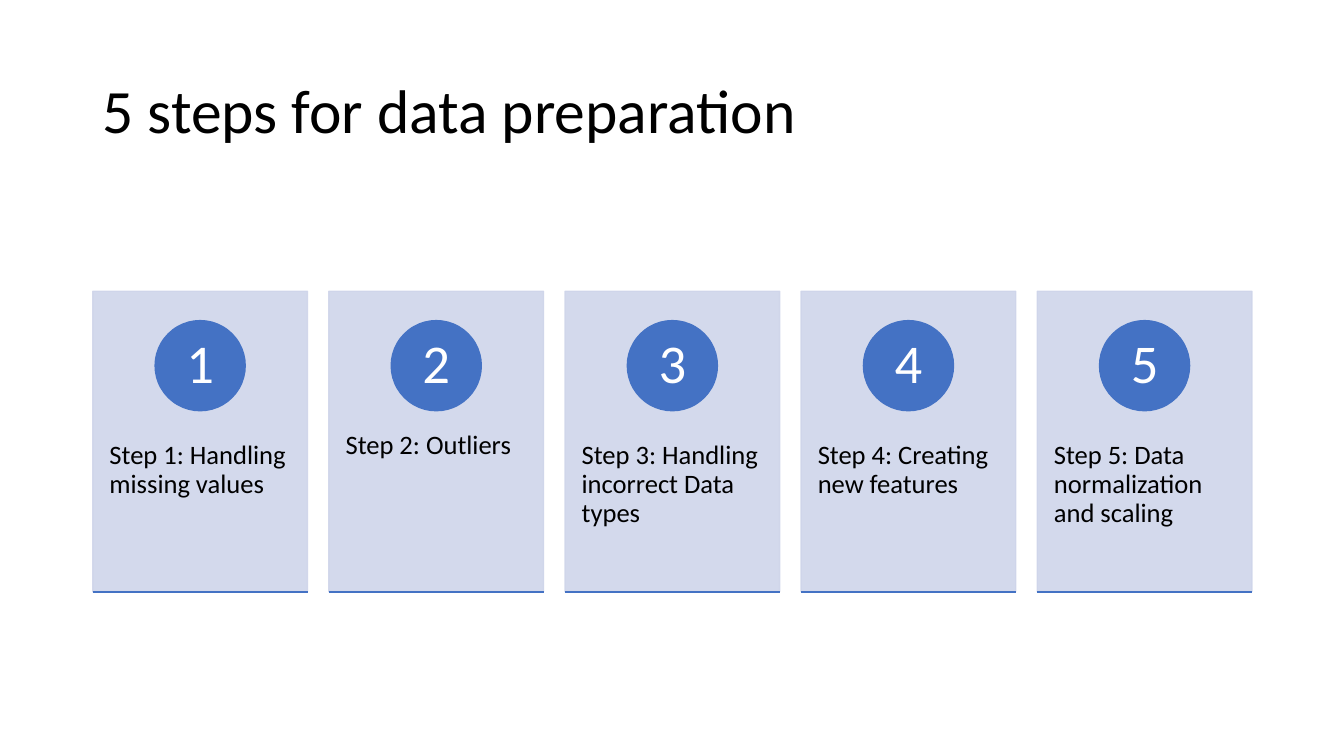
from pptx import Presentation
from pptx.dml.color import RGBColor
from pptx.enum.shapes import MSO_CONNECTOR, MSO_SHAPE
from pptx.enum.text import MSO_ANCHOR as ANCHOR, PP_ALIGN as ALIGN
from pptx.oxml.ns import qn
from pptx.util import Cm, Pt
from lxml.etree import SubElement

TITLE = "5 steps for data preparation"
STEPS = [
    "Handling missing values",
    "Outliers",
    "Handling incorrect Data types",
    "Creating new features",
    "Data normalization and scaling",
]
COLORS = {"text": "000000", "card": "CFD5EA", "accent": "4472C4", "number": "FFFFFF"}
FONT = "Calibri"

LEFT, WIDTH = 2.34, 29.21
CARD_TOP, CARD_W, CARD_H = 7.34, 5.41, 7.57
PITCH = (WIDTH - CARD_W) / (len(STEPS) - 1)
CIRCLE_TOP, CIRCLE_D = 8.08, 2.27
LABEL_TOP, LABEL_H = 10.5, 4.25


def rgb(name):
    return RGBColor.from_string(COLORS[name])


def add_text(s, box, text, size, color, anchor, align, insets):
    """Add a text box with one formatted paragraph."""
    tf = s.shapes.add_textbox(*map(Cm, box)).text_frame
    tf.word_wrap = True
    tf.vertical_anchor = anchor
    tf.margin_left = tf.margin_right = Cm(insets[0])
    tf.margin_top = tf.margin_bottom = Cm(insets[1])
    p = tf.paragraphs[0]
    p.text = text
    p.alignment = align
    p.line_spacing = 0.9
    p.font.name = FONT
    p.font.size = Pt(size)
    p.font.color.rgb = rgb(color)


def add_block(s, kind, box, color, opacity=100):
    """Add a filled shape with a matching outline."""
    sp = s.shapes.add_shape(kind, *map(Cm, box))
    sp.shadow.inherit = False
    sp.fill.solid()
    sp.fill.fore_color.rgb = rgb(color)
    sp.line.color.rgb = rgb(color)
    sp.line.width = Pt(1)
    if opacity < 100:
        for clr in sp._element.spPr.iter(qn("a:srgbClr")):
            SubElement(clr, qn("a:alpha")).set("val", str(opacity * 1000))


def add_step(s, number, label):
    """Add a card with its numbered circle, label and base line."""
    x = LEFT + (number - 1) * PITCH
    bottom = CARD_TOP + CARD_H
    circle = (x + (CARD_W - CIRCLE_D) / 2, CIRCLE_TOP, CIRCLE_D, CIRCLE_D)
    add_block(s, MSO_SHAPE.RECTANGLE, (x, CARD_TOP, CARD_W, CARD_H), "card", 90)
    add_text(s, (x, LABEL_TOP, CARD_W, LABEL_H), f"Step {number}: {label}", 19, "text",
             ANCHOR.TOP, ALIGN.LEFT, (0.42, 0.63))
    add_block(s, MSO_SHAPE.OVAL, circle, "accent")
    add_text(s, circle, str(number), 39, "number", ANCHOR.MIDDLE, ALIGN.CENTER, (0.18, 0.03))

    base = s.shapes.add_connector(
        MSO_CONNECTOR.STRAIGHT, Cm(x), Cm(bottom), Cm(x + CARD_W), Cm(bottom))
    base.line.color.rgb = rgb("accent")
    base.line.width = Pt(1.5)
    SubElement(base._element.spPr, qn("a:effectLst"))


def main():
    """Build and save the slide."""
    prs = Presentation()
    prs.slide_width, prs.slide_height = Cm(33.87), Cm(19.05)
    s = prs.slides.add_slide(prs.slide_layouts[6])
    add_text(s, (LEFT, 1.01, WIDTH, 3.68), TITLE, 44, "text",
             ANCHOR.MIDDLE, ALIGN.LEFT, (0.25, 0.13))
    for number, label in enumerate(STEPS, 1):
        add_step(s, number, label)
    prs.save("out.pptx")


if __name__ == "__main__":
    main()
